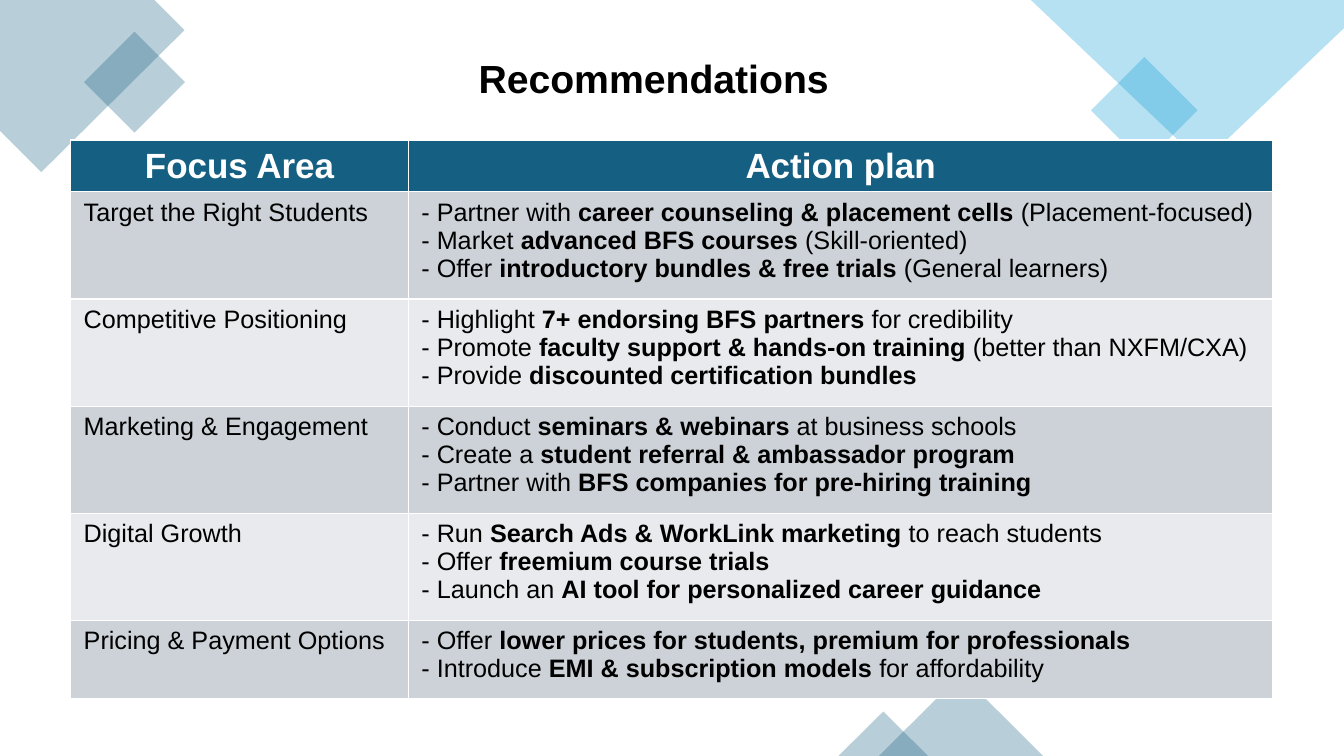
"""Build the Recommendations slide: a plan table among pale corner shapes."""
from lxml.etree import SubElement
from pptx import Presentation
from pptx.dml.color import RGBColor as Rgb
from pptx.enum.shapes import MSO_SHAPE as Kind
from pptx.enum.text import MSO_ANCHOR as Anchor, PP_ALIGN as Align
from pptx.oxml.ns import qn
from pptx.util import Cm, Pt

TITLE = "Recommendations"
HEADS = ("Focus Area", "Action plan")
PLAN = [
    ("Target the Right Students", [
        ("- Partner with ", "career counseling & placement cells", " (Placement-focused)"),
        ("- Market ", "advanced BFS courses", " (Skill-oriented)"),
        ("- Offer ", "introductory bundles & free trials", " (General learners)"),
    ]),
    ("Competitive Positioning", [
        ("- Highlight ", "7+ endorsing BFS partners", " for credibility"),
        ("- Promote ", "faculty support & hands-on training", " (better than NXFM/CXA)"),
        ("- Provide ", "discounted certification bundles", ""),
    ]),
    ("Marketing & Engagement", [
        ("- Conduct ", "seminars & webinars", " at business schools"),
        ("- Create a ", "student referral & ambassador program", ""),
        ("- Partner with ", "BFS companies for pre-hiring training", ""),
    ]),
    ("Digital Growth", [
        ("- Run ", "Search Ads & WorkLink marketing", " to reach students"),
        ("- Offer ", "freemium course trials", ""),
        ("- Launch an ", "AI tool for personalized career guidance", ""),
    ]),
    ("Pricing & Payment Options", [
        ("- Offer ", "lower prices for students, premium for professionals", ""),
        ("- Introduce ", "EMI & subscription models", " for affordability"),
    ]),
]

THEME = {
    "font": "Arial", "title": 28, "head": 25, "body": 18,
    "teal": "156082", "sky": "0F9ED5", "ink": "000000", "white": "FFFFFF",
    "bands": ("CCD2D8", "E8EAED"), "alpha": 30,
}

WIDTH, HEIGHT = 33.87, 19.05
COLS = (8.51, 21.79)
HEAD_ROW, LONG_ROW, SHORT_ROW = 1.3, 2.7, 1.96
TABLE_AT = (1.78, 3.53)
TITLE_AT = (11.81, 1.24, 10.26, 1.45)
CORNERS = [
    ("teal", [(3.89, 0), (0, 0), (0, 3.3), (1.04, 4.34), (4.65, 0.76)]),
    ("sky", [(WIDTH, 0), (25.98, 0), (30.3, 4.11), (WIDTH, 0.71)]),
]
ACCENTS = [
    (Kind.RECTANGLE, "teal", (2.49, 1.17, 1.8, 1.8), 315),
    (Kind.RECTANGLE, "sky", (27.89, 1.83, 1.9, 1.9), 315),
    (Kind.ISOSCELES_TRIANGLE, "teal", (22.15, 16.99, 4.14, 2.06), 0),
    (Kind.ISOSCELES_TRIANGLE, "teal", (21.13, 17.93, 2.26, 1.12), 0),
]


def color(name):
    return Rgb.from_string(THEME.get(name, name))


def tint(shape, hue):
    shape.shadow.inherit = False
    shape.line.fill.background()
    shape.fill.solid()
    shape.fill.fore_color.rgb = color(hue)
    node = shape._element.xpath("./p:spPr/a:solidFill/a:srgbClr")[0]
    SubElement(node, qn("a:alpha")).set("val", str(THEME["alpha"] * 1000))


def style(para, size, hue, bold=False):
    font = para.font
    font.name, font.size, font.bold = THEME["font"], Pt(THEME[size]), bold
    font.color.rgb = color(hue)


def dress(cell, hue):
    cell.fill.solid()
    cell.fill.fore_color.rgb = color(hue)
    cell.margin_left = cell.margin_right = Cm(0.33)
    cell.margin_top = cell.margin_bottom = Cm(0.16)
    return cell.text_frame.paragraphs[0]


def add_art(shapes):
    for hue, dots in CORNERS:
        first, *rest = [(Cm(x), Cm(y)) for x, y in dots]
        pen = shapes.build_freeform(*first)
        pen.add_line_segments(rest)
        tint(pen.convert_to_shape(), hue)
    for kind, hue, box, turn in ACCENTS:
        shape = shapes.add_shape(kind, *map(Cm, box))
        shape.rotation = turn
        tint(shape, hue)


def add_steps(para, steps):
    for i, step in enumerate(steps):
        if i:
            para.add_line_break()
        for part, text in enumerate(step):
            if text:
                run = para.add_run()
                run.text = text
                if part == 1:
                    run.font.bold = True


def add_plan(shapes):
    rows = [HEAD_ROW] + [LONG_ROW if len(steps) > 2 else SHORT_ROW for _, steps in PLAN]
    box = (*TABLE_AT, sum(COLS), sum(rows))
    table = shapes.add_table(len(rows), len(COLS), *map(Cm, box)).table
    for col, wide in zip(table.columns, COLS):
        col.width = Cm(wide)
    for row, high in zip(table.rows, rows):
        row.height = Cm(high)
    for i, head in enumerate(HEADS):
        para = dress(table.cell(0, i), "teal")
        para.text, para.alignment = head, Align.CENTER
        style(para, "head", "white", True)
    for i, (area, steps) in enumerate(PLAN):
        band = THEME["bands"][i % 2]
        left, right = [dress(table.cell(i + 1, j), band) for j in range(2)]
        left.text = area
        add_steps(right, steps)
        for para in (left, right):
            style(para, "body", "ink")


def add_title(shapes):
    frame = shapes.add_textbox(*map(Cm, TITLE_AT)).text_frame
    frame.word_wrap = True
    frame.vertical_anchor = Anchor.TOP
    para = frame.paragraphs[0]
    para.text = TITLE
    style(para, "title", "ink", True)


def main():
    deck = Presentation()
    deck.slide_width, deck.slide_height = Cm(WIDTH), Cm(HEIGHT)
    shapes = deck.slides.add_slide(deck.slide_layouts[6]).shapes
    add_art(shapes)
    add_plan(shapes)
    add_title(shapes)
    deck.save("out.pptx")


if __name__ == "__main__":
    main()
